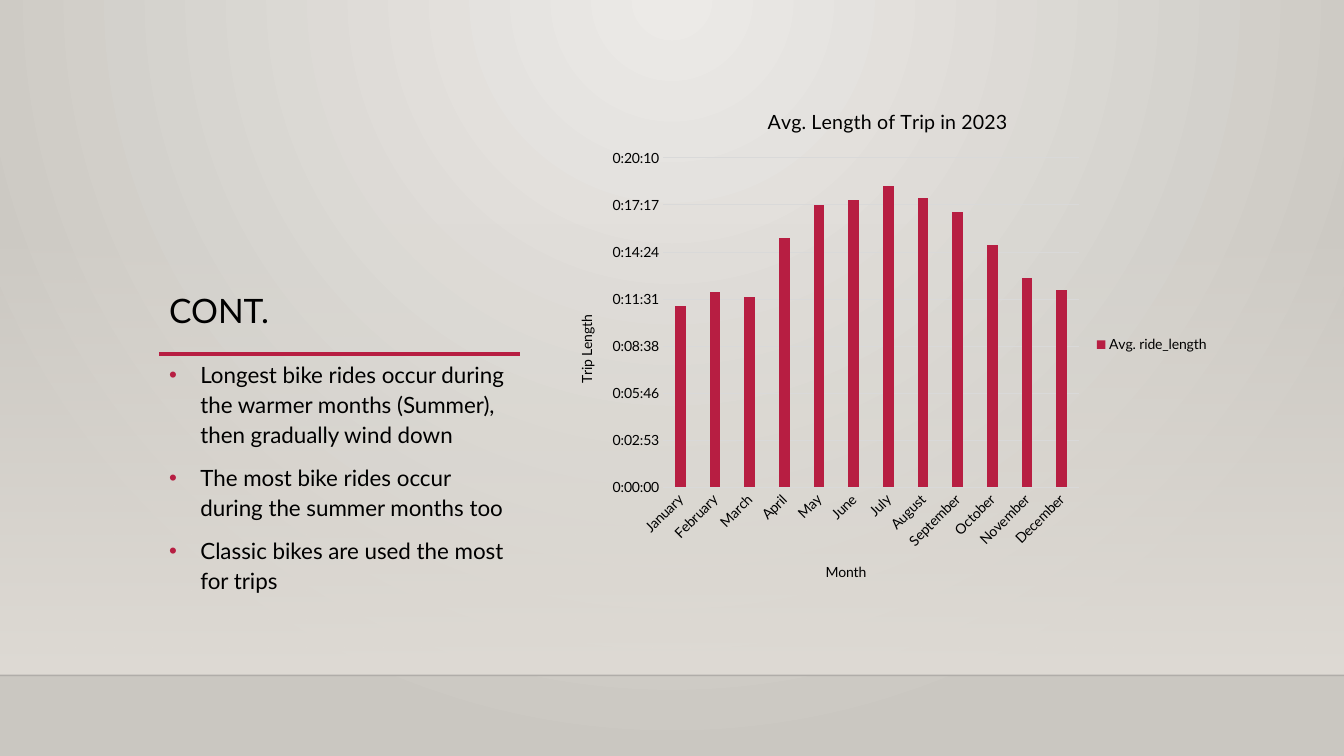
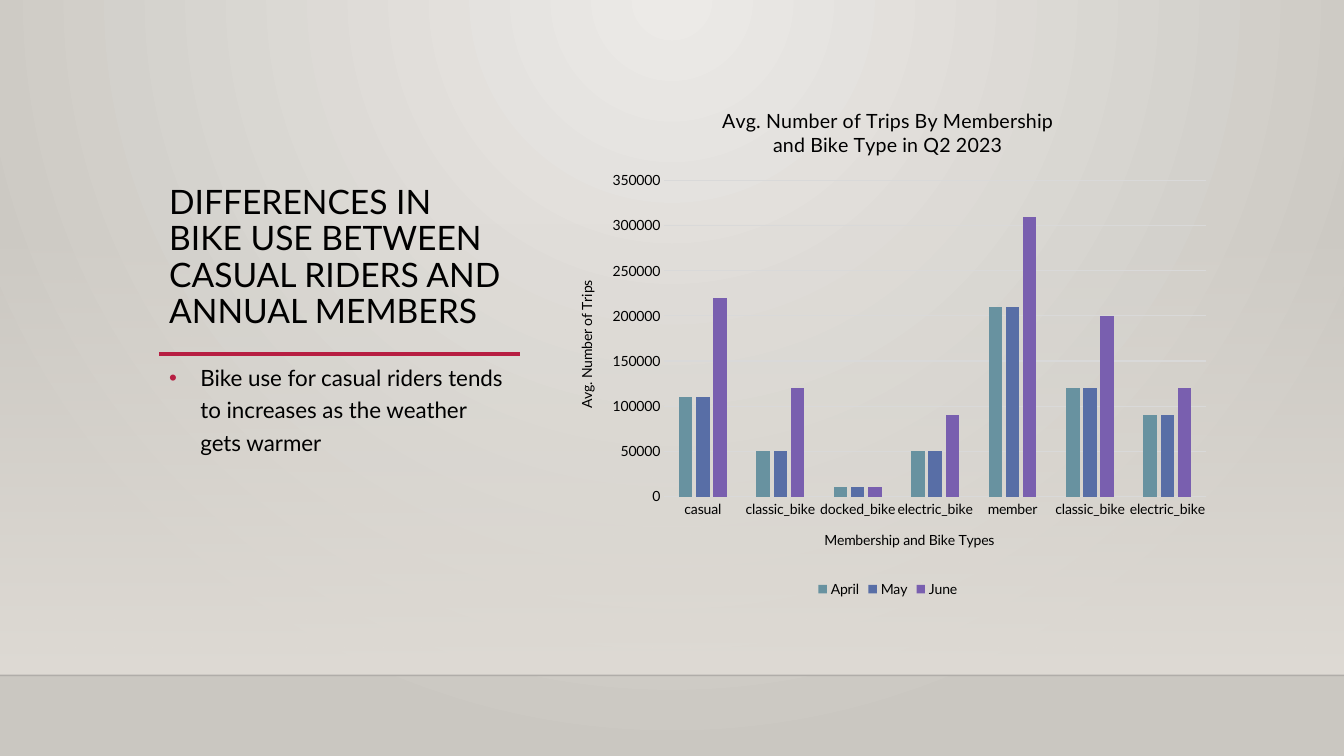
from pptx import Presentation
from pptx.chart.data import CategoryChartData
from pptx.dml.color import RGBColor
from pptx.enum.chart import XL_CHART_TYPE, XL_LEGEND_POSITION, XL_TICK_MARK
from pptx.enum.shapes import MSO_CONNECTOR, MSO_SHAPE
from pptx.enum.text import MSO_ANCHOR, MSO_AUTO_SIZE, PP_ALIGN
from pptx.oxml import parse_xml
from pptx.oxml.ns import nsdecls, qn
from pptx.util import Cm, Pt

FONT = "Lato"
BLACK = RGBColor(0x00, 0x00, 0x00)
EDGE = RGBColor(0x00, 0x00, 0x01)
CRIMSON = RGBColor(0xB7, 0x1E, 0x42)
TEAL = RGBColor(0x68, 0x92, 0xA0)
BLUE = RGBColor(0x58, 0x6E, 0xA6)
PURPLE = RGBColor(0x79, 0x5F, 0xAF)
GRID = RGBColor(0xD9, 0xD9, 0xD9)
PALE = RGBColor(0xEC, 0xEA, 0xE7)
STONE = RGBColor(0xCA, 0xC7, 0xC1)
SAND = RGBColor(0xDF, 0xDB, 0xD5)

PAGE_W, PAGE_H = Cm(33.87), Cm(19.05)
LEFT, TOP = Cm(4.01), Cm(2.21)
COLUMN_W, BLOCK_H = Cm(9.09), Cm(6.25)
RULE_Y, FLOOR_Y = Cm(8.92), Cm(17.02)
HAZE_Y = Cm(5.61)
CHART_PLACE = Cm(14.02), TOP, Cm(16.71), Cm(12.95)
INDENT = Cm(0.79)

SLIDES = [
    {
        "title": "CONT.",
        "bullets": [
            "Longest bike rides occur during the warmer months (Summer), "
            "then gradually wind down",
            "The most bike rides occur during the summer months too",
            "Classic bikes are used the most for trips",
        ],
        "line_spacing": 1.1,
        "chart": {
            "title": ["Avg. Length of Trip in 2023"],
            "category_title": "Month",
            "value_title": "Trip Length",
            "number_format": "[h]:mm:ss;@",
            "legend": XL_LEGEND_POSITION.RIGHT,
            "categories": ["January", "February", "March", "April", "May", "June", "July",
                           "August", "September", "October", "November", "December"],
            "series": [
                ("Avg. ride_length", CRIMSON,
                 [0.0077, 0.0083, 0.0081, 0.0106, 0.012, 0.0122,
                  0.0128, 0.0123, 0.0117, 0.0103, 0.0089, 0.0084]),
            ],
        },
    },
    {
        "title": "DIFFERENCES IN BIKE USE BETWEEN CASUAL RIDERS AND ANNUAL MEMBERS",
        "bullets": ["Bike use for casual riders tends to increases as the weather gets warmer"],
        "line_spacing": 1.2,
        "chart": {
            "title": ["Avg. Number of Trips By Membership", "and Bike Type in Q2 2023"],
            "category_title": "Membership and Bike Types",
            "value_title": "Avg. Number of Trips",
            "number_format": "General",
            "legend": XL_LEGEND_POSITION.BOTTOM,
            "categories": ["casual", "classic_bike", "docked_bike", "electric_bike",
                           "member", "classic_bike", "electric_bike"],
            "series": [
                ("April", TEAL, [110000, 50000, 10000, 50000, 210000, 120000, 90000]),
                ("May", BLUE, [110000, 50000, 10000, 50000, 210000, 120000, 90000]),
                ("June", PURPLE, [220000, 120000, 10000, 90000, 310000, 200000, 120000]),
            ],
        },
    },
]


def gradient(stops, direction):
    """Return a gradFill element; stops are (percent, colour, opacity percent)."""
    marks = "".join(
        f'<a:gs pos="{place * 1000}"><a:srgbClr val="{color}">'
        f'<a:alpha val="{opacity * 1000}"/></a:srgbClr></a:gs>'
        for place, color, opacity in stops)
    return parse_xml(f'<a:gradFill {nsdecls("a")} rotWithShape="1">'
                     f'<a:gsLst>{marks}</a:gsLst>{direction}</a:gradFill>')


def swap_gradient(fill, holder, new_fill):
    fill.gradient()
    old_fill = next(holder.iter(qn("a:gradFill")))
    old_fill.getparent().replace(old_fill, new_fill)


def style_font(font, size):
    font.name, font.size, font.bold = FONT, Pt(size), False
    font.color.rgb = BLACK


def add_span(para, text, size):
    span = para.add_run()
    span.text = text
    style_font(span.font, size)


def add_rule(page, left, right, y, color, width):
    rule = page.shapes.add_connector(MSO_CONNECTOR.STRAIGHT, left, y, right, y)
    rule.line.color.rgb = color
    rule.line.width = Pt(width)
    rule.element.spPr.append(parse_xml(f'<a:effectLst {nsdecls("a")}/>'))
    return rule


def build_backdrop(master, layout, page):
    """Set the shared background and move the shared shapes from page to layout."""
    swap_gradient(master.background.fill, master.element, gradient(
        [(0, PALE, 100), (100, STONE, 100)],
        '<a:path path="circle"><a:fillToRect l="43000" t="0" r="43000" b="100000"/></a:path>'))

    haze = page.shapes.add_shape(MSO_SHAPE.RECTANGLE, 0, HAZE_Y, PAGE_W, FLOOR_Y - HAZE_Y)
    haze.shadow.inherit = False
    haze.line.fill.background()
    swap_gradient(haze.fill, haze.element, gradient(
        [(0, SAND, 0), (100, SAND, 100)], '<a:lin ang="5400000" scaled="0"/>'))

    floor = add_rule(page, 0, PAGE_W, FLOOR_Y, EDGE, 1)
    floor_color = next(floor.element.spPr.iter(qn("a:srgbClr")))
    floor_color.append(parse_xml(f'<a:alpha {nsdecls("a")} val="20000"/>'))
    title_rule = add_rule(page, LEFT, LEFT + COLUMN_W, RULE_Y, CRIMSON, 2.5)

    for index, shape in enumerate((haze, floor, title_rule), start=2):
        layout.shapes.element.insert(index, shape.element)


def set_title(page, text):
    title = page.shapes.title
    title.left, title.top, title.width, title.height = LEFT, TOP, COLUMN_W, BLOCK_H
    frame = title.text_frame
    frame.word_wrap = True
    frame.auto_size = MSO_AUTO_SIZE.NONE
    frame.vertical_anchor = MSO_ANCHOR.BOTTOM
    para = frame.paragraphs[0]
    para.alignment = PP_ALIGN.LEFT
    para.line_spacing = 0.9
    add_span(para, text, 24)


def add_bullets(page, bullets, line_spacing):
    box = page.shapes.add_textbox(LEFT, RULE_Y, COLUMN_W, BLOCK_H)
    frame = box.text_frame
    frame.word_wrap = True
    for index, text in enumerate(bullets):
        para = frame.add_paragraph() if index else frame.paragraphs[0]
        para.line_spacing = line_spacing
        para.space_before = Pt(10)
        props = para._p.get_or_add_pPr()
        props.set("marL", str(INDENT))
        props.set("indent", str(-INDENT))
        for bullet_xml in (
                f'<a:buClr {nsdecls("a")}><a:srgbClr val="{CRIMSON}"/></a:buClr>',
                f'<a:buFont {nsdecls("a")} typeface="Arial"/>',
                f'<a:buChar {nsdecls("a")} char="•"/>'):
            props.append(parse_xml(bullet_xml))
        add_span(para, text, 16)


def style_axis(axis, title, title_turn):
    axis.major_tick_mark = axis.minor_tick_mark = XL_TICK_MARK.NONE
    style_font(axis.tick_labels.font, 10)
    add_span(axis.axis_title.text_frame.paragraphs[0], title, 10)
    body = next(axis.axis_title.element.iter(qn("a:bodyPr")))
    body.set("rot", str(title_turn))
    body.set("vert", "horz")


def add_column_chart(page, content):
    data = CategoryChartData(number_format=content["number_format"])
    data.categories = content["categories"]
    for name, _, values in content["series"]:
        data.add_series(name, values)
    chart = page.shapes.add_chart(XL_CHART_TYPE.COLUMN_CLUSTERED, *CHART_PLACE, data).chart
    style_font(chart.font, 10)

    chart.has_title = True
    title_frame = chart.chart_title.text_frame
    for index, text in enumerate(content["title"]):
        para = title_frame.add_paragraph() if index else title_frame.paragraphs[0]
        add_span(para, text, 14)
    chart.chart_title.include_in_layout = False

    chart.has_legend = True
    chart.legend.position = content["legend"]
    chart.legend.include_in_layout = False
    style_font(chart.legend.font, 10)

    months, amounts = chart.category_axis, chart.value_axis
    style_axis(months, content["category_title"], 0)
    style_axis(amounts, content["value_title"], -5400000)
    months.format.line.color.rgb = GRID
    months.format.line.width = Pt(0.75)
    amounts.format.line.fill.background()
    amounts.has_major_gridlines = True
    amounts.major_gridlines.format.line.color.rgb = GRID
    amounts.major_gridlines.format.line.width = Pt(0.75)
    amounts.tick_labels.number_format = content["number_format"]
    amounts.tick_labels.number_format_is_linked = False

    plot = chart.plots[0]
    plot.vary_by_categories = False
    plot.gap_width, plot.overlap = 219, -27
    for series, (_, color, _) in zip(plot.series, content["series"]):
        series.format.fill.solid()
        series.format.fill.fore_color.rgb = color


def main():
    deck = Presentation()
    deck.slide_width, deck.slide_height = PAGE_W, PAGE_H
    layout = deck.slide_layouts[5]
    for index, content in enumerate(SLIDES):
        page = deck.slides.add_slide(layout)
        if index == 0:
            build_backdrop(deck.slide_master, layout, page)
        set_title(page, content["title"])
        add_bullets(page, content["bullets"], content["line_spacing"])
        add_column_chart(page, content["chart"])
    deck.save("out.pptx")


if __name__ == "__main__":
    main()
